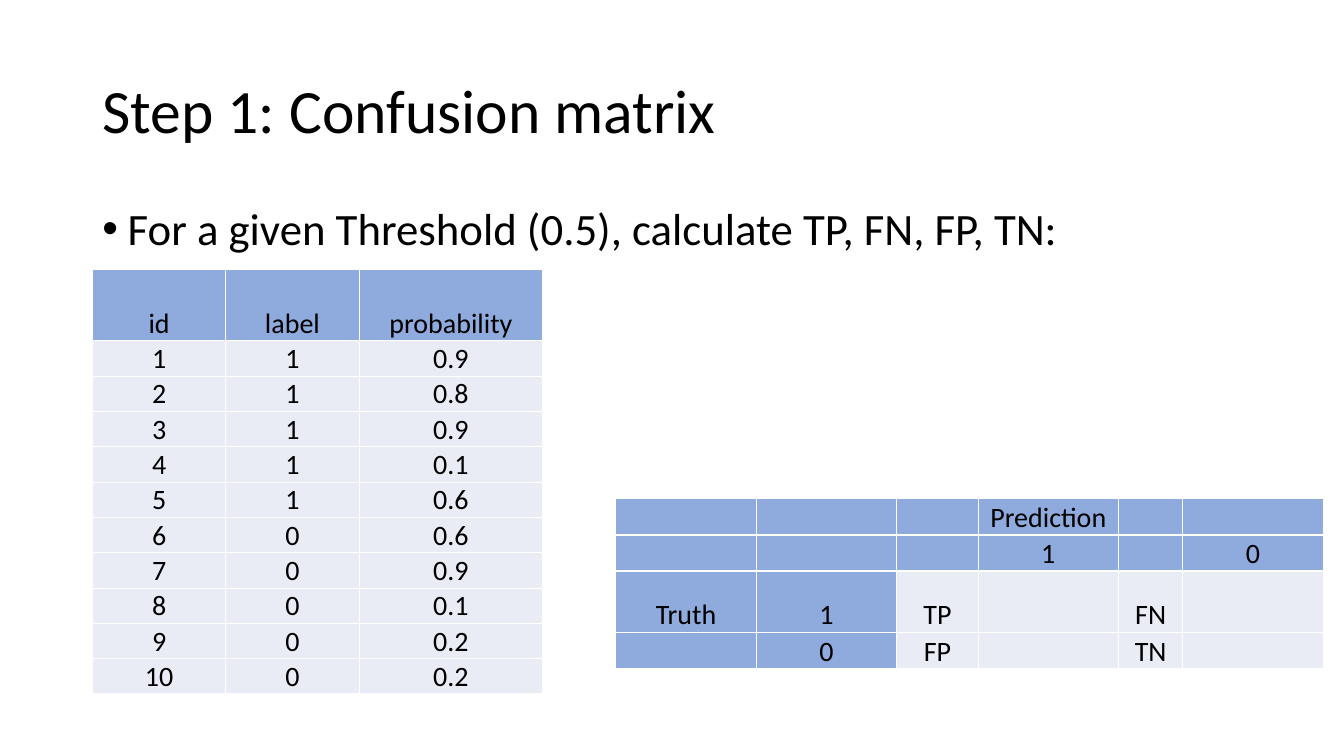
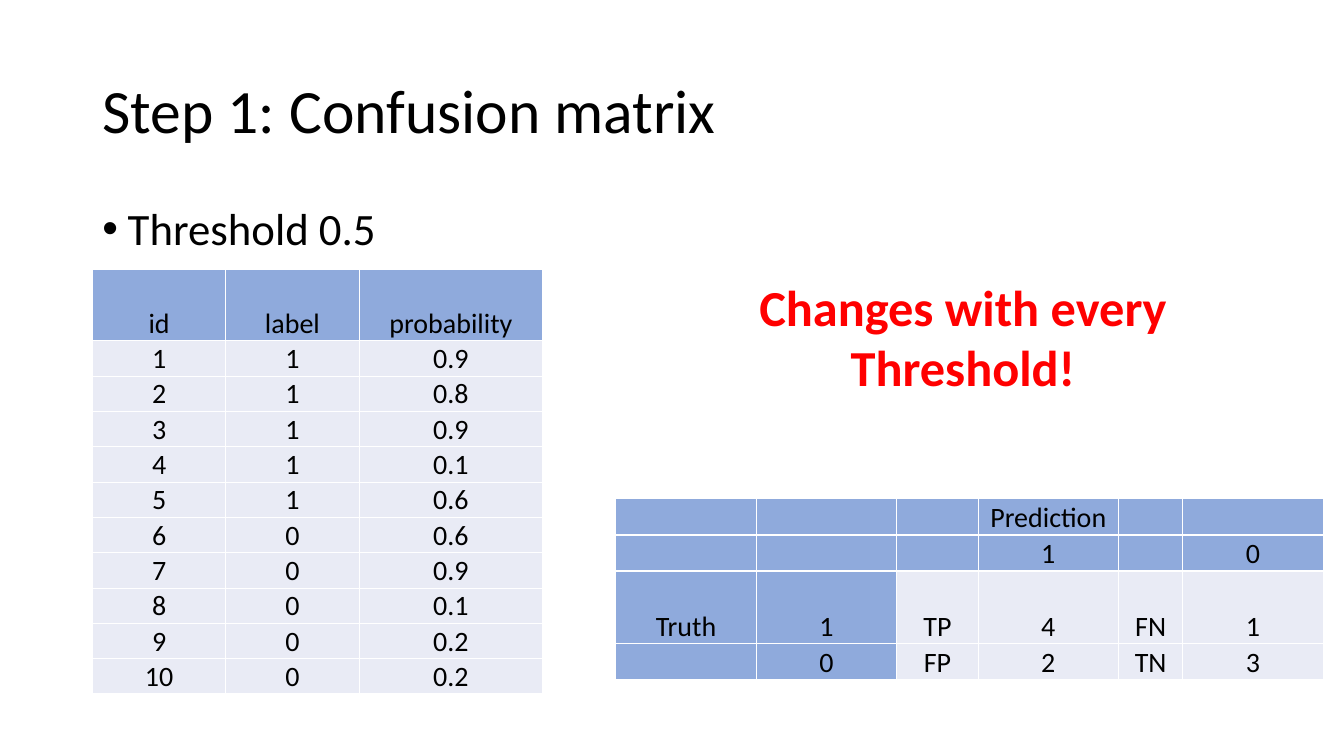
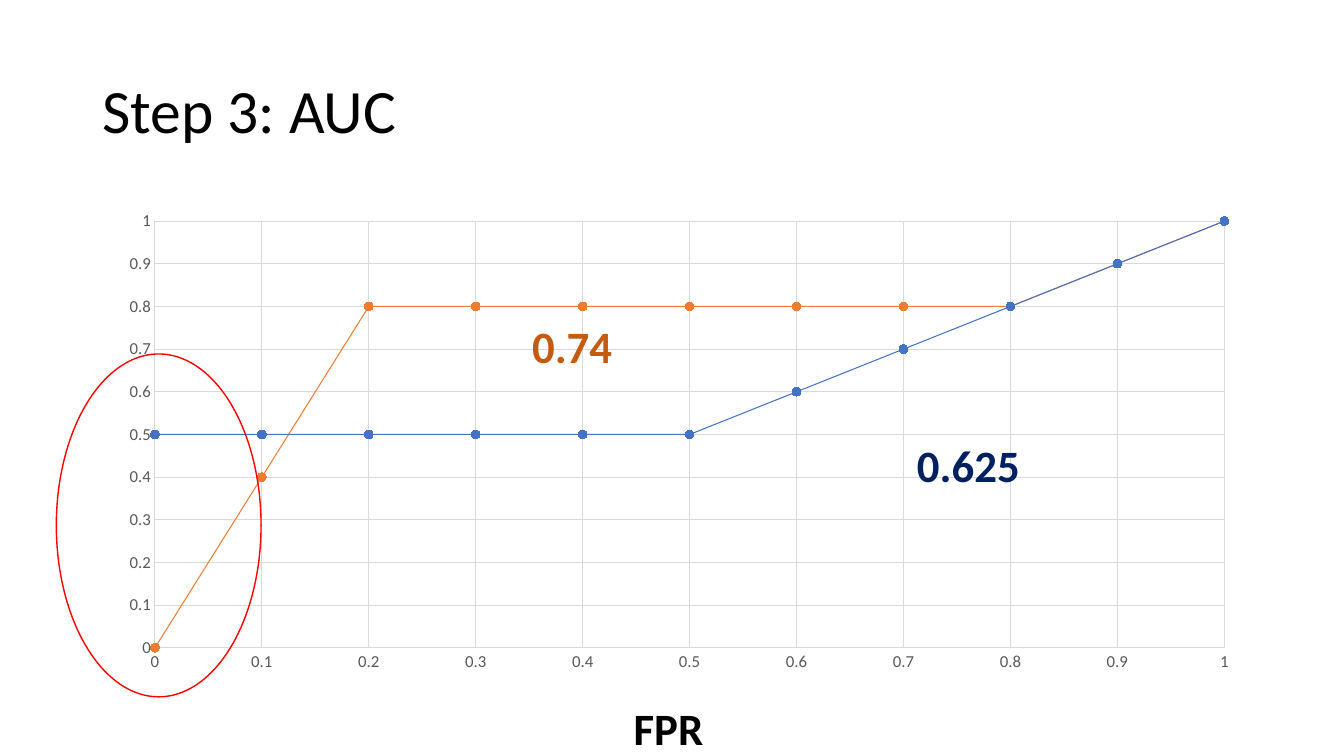
from lxml import etree
from pptx import Presentation
from pptx.chart.data import XyChartData
from pptx.dml.color import RGBColor
from pptx.enum.chart import XL_CHART_TYPE, XL_MARKER_STYLE, XL_TICK_MARK
from pptx.enum.shapes import MSO_SHAPE
from pptx.enum.text import MSO_ANCHOR, PP_ALIGN
from pptx.oxml import parse_xml
from pptx.oxml.ns import nsdecls, qn
from pptx.util import Cm, Pt

SCATTER = XL_CHART_TYPE.XY_SCATTER_LINES
CIRCLE = XL_MARKER_STYLE.CIRCLE
NO_TICK = XL_TICK_MARK.NONE
OVAL = MSO_SHAPE.OVAL
MIDDLE, BOTTOM = MSO_ANCHOR.MIDDLE, MSO_ANCHOR.BOTTOM
LEFT, CENTER = PP_ALIGN.LEFT, PP_ALIGN.CENTER

FONT = "Calibri"
BLACK, WHITE, RED = "000000", "FFFFFF", "FF0000"
HEADER_FILL, BODY_FILL = "8FAADC", "E9EBF5"
BLUE, ORANGE = "4472C4", "ED7D31"
NAVY, RUST = "002060", "C55A11"
AXIS_TEXT, GRID = "595959", "D9D9D9"

LABELS = [1] * 5 + [0] * 5
PROBABILITIES = [0.9, 0.8, 0.9, 0.1, 0.6, 0.6, 0.9, 0.1, 0.2, 0.2]
FPR = [i / 10 for i in range(11)]
CURVES = [
    ("Series 1", BLUE, [0.5] * 6 + [0.6, 0.7, 0.8, 0.9, 1]),
    ("Series 2", ORANGE, [0, 0.4] + [0.8] * 7 + [0.9, 1]),
]


def rgb(color):
    """Turn a hex string into a colour."""
    return RGBColor.from_string(color)


def style(font, size, color=BLACK, bold=False):
    """Set typeface, size, colour and weight of a font."""
    font.name, font.size, font.bold = FONT, Pt(size), bold
    font.color.rgb = rgb(color)


def set_text(tf, text, size, color=BLACK, bold=False, align=LEFT):
    """Write one styled paragraph and return it."""
    tf.text = text
    p = tf.paragraphs[0]
    p.alignment = align
    for r in p.runs:
        style(r.font, size, color, bold)
    return p


def add_slide(prs, title):
    """Add a title-only slide with the shared title style."""
    s = prs.slides.add_slide(prs.slide_layouts[5])
    sp = s.shapes.title
    sp.left, sp.top, sp.width, sp.height = Cm(2.33), Cm(1.02), Cm(29.21), Cm(3.68)
    sp.text_frame.vertical_anchor = MIDDLE
    set_text(sp.text_frame, title, 44).line_spacing = 0.9
    return s


def add_text(s, text, left, top, width, height, size=32, color=BLACK, bold=True, align=LEFT):
    """Add a wrapping text box and return its paragraph."""
    tf = s.shapes.add_textbox(Cm(left), Cm(top), Cm(width), Cm(height)).text_frame
    tf.word_wrap = True
    return set_text(tf, text, size, color, bold, align)


def add_bullet(s, text):
    """Add the bulleted line under the title."""
    p = add_text(s, text, 2.33, 5.08, 29.21, 1.6, bold=False)
    p.line_spacing, p.space_before = 0.9, Pt(10)
    pPr = p._p.get_or_add_pPr()
    pPr.set("marL", str(Cm(0.64)))
    pPr.set("indent", str(Cm(-0.64)))
    etree.SubElement(pPr, qn("a:buFont")).set("typeface", "Arial")
    etree.SubElement(pPr, qn("a:buChar")).set("char", "•")


def format_cell(cell, value, fill):
    """Fill, border and label one table cell."""
    cell.margin_left = cell.margin_right = cell.margin_top = Cm(0.02)
    cell.margin_bottom = 0
    cell.vertical_anchor = BOTTOM
    set_text(cell.text_frame, str(value), 20, align=CENTER)
    cell.fill.solid()
    cell.fill.fore_color.rgb = rgb(fill)
    tcPr = cell._tc.get_or_add_tcPr()
    for i, side in enumerate(("lnL", "lnR", "lnT", "lnB")):
        tcPr.insert(i, parse_xml(
            f'<a:{side} {nsdecls("a")} w="{Pt(1)}"><a:solidFill>'
            f'<a:srgbClr val="{WHITE}"/></a:solidFill></a:{side}>'))


def add_table(s, rows, left, top, widths, heights, header_rows, header_cols=0):
    """Add a table whose leading rows and columns are headers."""
    table = s.shapes.add_table(len(rows), len(widths), Cm(left), Cm(top),
                               Cm(sum(widths)), Cm(sum(heights))).table
    table.first_row = table.horz_banding = False
    for column, width in zip(table.columns, widths):
        column.width = Cm(width)
    for i, row in enumerate(rows):
        table.rows[i].height = Cm(heights[i])
        for j, value in enumerate(row):
            is_header = i < header_rows or j < header_cols
            format_cell(table.cell(i, j), value, HEADER_FILL if is_header else BODY_FILL)


def add_predictions(s):
    """Add the table of labels and probabilities."""
    rows = [("id", "label", "probability"), *zip(range(1, 11), LABELS, PROBABILITIES)]
    add_table(s, rows, 2.33, 6.78, [3.36, 3.36, 4.63], [1.81] + [0.89] * 10, 1)


def add_confusion_matrix(s, tp="", fn="", fp="", tn="", truth_height=1.55):
    """Add the confusion matrix, with counts where given."""
    rows = [
        ("", "", "", "Prediction", "", ""),
        ("", "", "", "1", "", "0"),
        ("Truth", "1", "TP", tp, "FN", fn),
        ("", "0", "FP", fp, "TN", tn),
    ]
    add_table(s, rows, 15.52, 12.57, [3.54, 3.54, 2.05, 3.54, 1.62, 3.54],
              [0.91, 0.91, truth_height, 0.91], 2, 2)


def format_axis(axis):
    """Scale an axis from 0 to 1 with light gridlines."""
    axis.minimum_scale, axis.maximum_scale, axis.major_unit = 0, 1, 0.1
    axis.major_tick_mark = axis.minor_tick_mark = NO_TICK
    axis.has_major_gridlines = True
    axis.major_gridlines.format.line.color.rgb = rgb(GRID)
    axis.major_gridlines.format.line.width = Pt(0.75)
    axis.format.line.fill.background()
    style(axis.tick_labels.font, 12, AXIS_TEXT)


def add_roc_chart(s):
    """Add the scatter chart of both curves."""
    data = XyChartData()
    for name, _, values in CURVES:
        series = data.add_series(name)
        for x, y in zip(FPR, values):
            series.add_data_point(x, y)
    chart = s.shapes.add_chart(SCATTER, Cm(2.69), Cm(5.08), Cm(28.85), Cm(12.09), data).chart
    chart.has_title = chart.has_legend = False
    style(chart.font, 10)
    chart.plots[0].vary_by_categories = False
    for axis in (chart.category_axis, chart.value_axis):
        format_axis(axis)
    for series, (_, color, _) in zip(chart.plots[0].series, CURVES):
        series.smooth = False
        series.format.line.color.rgb = rgb(color)
        series.format.line.width = Pt(0.75)
        series.marker.style, series.marker.size = CIRCLE, 6
        series.marker.format.fill.solid()
        series.marker.format.fill.fore_color.rgb = rgb(color)
        series.marker.format.line.color.rgb = rgb(color)


def add_ring(s, left, top, width, height):
    """Add an unfilled red ellipse."""
    sp = s.shapes.add_shape(OVAL, Cm(left), Cm(top), Cm(width), Cm(height))
    sp.shadow.inherit = False
    sp.fill.background()
    sp.line.color.rgb = rgb(RED)
    sp.line.width = Pt(1)


def main():
    """Build and save the three slides."""
    prs = Presentation()
    prs.slide_width, prs.slide_height = Cm(33.87), Cm(19.05)

    s = add_slide(prs, "Step 1: Confusion matrix")
    add_bullet(s, "For a given Threshold (0.5), calculate TP, FN, FP, TN:")
    add_predictions(s)
    add_confusion_matrix(s)

    s = add_slide(prs, "Step 1: Confusion matrix")
    add_bullet(s, "Threshold 0.5")
    add_predictions(s)
    add_confusion_matrix(s, 4, 1, 2, 3, truth_height=1.83)
    add_text(s, "Changes with every Threshold!", 17.63, 6.83, 13.28, 3.33, 36, RED, align=CENTER)

    s = add_slide(prs, "Step 3: AUC")
    add_roc_chart(s)
    add_text(s, "0.625", 22.86, 10.9, 6.32, 1.63, color=NAVY)
    add_text(s, "0.74", 13.16, 7.9, 6.32, 1.63, color=RUST)
    add_ring(s, 1.42, 8.92, 5.16, 8.64)
    add_text(s, "FPR", 15.72, 17.53, 2.41, 1.63)

    prs.save("out.pptx")


main()
